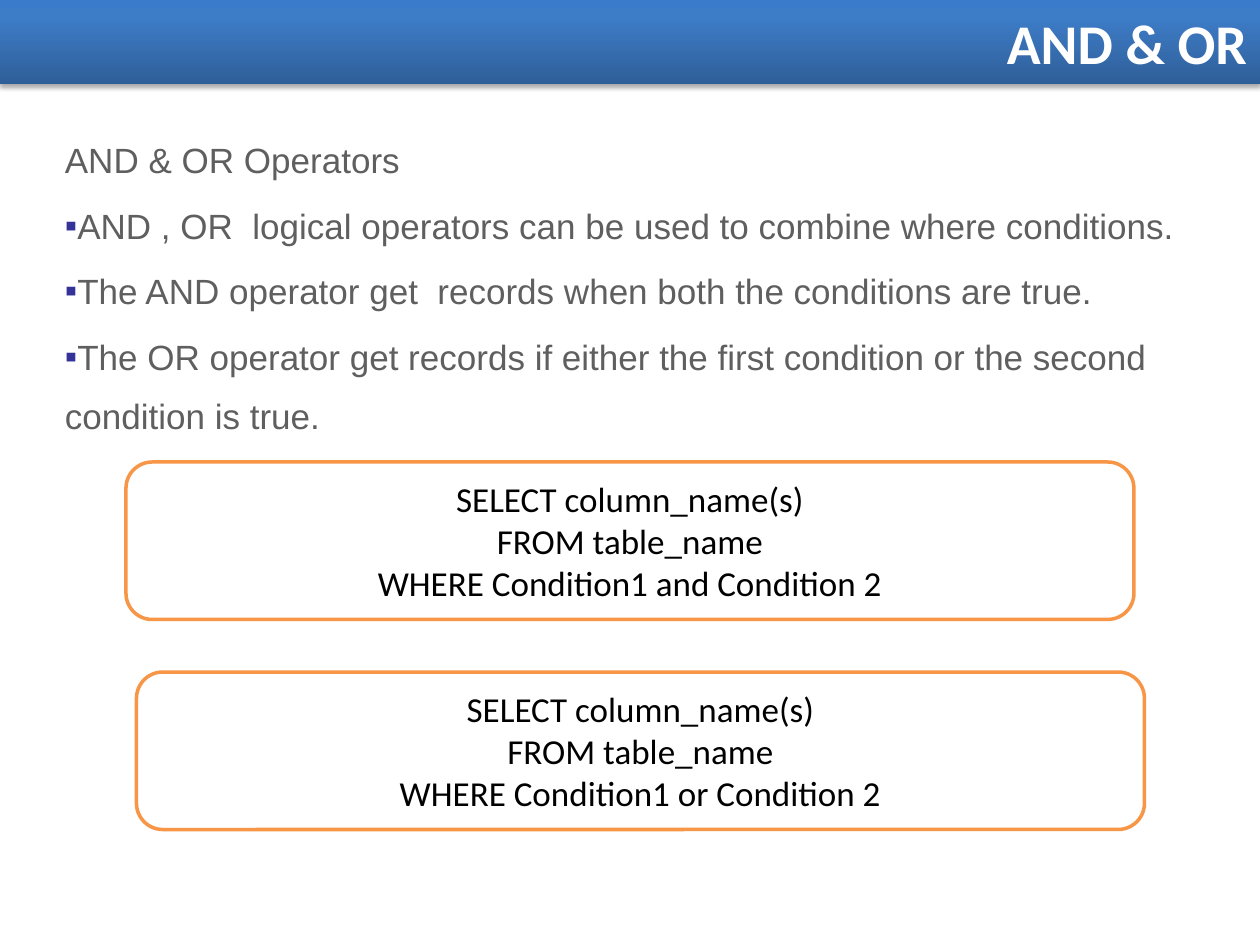
"""Builds a slide on the AND and OR operators."""
import copy

import pptx
import pptx.dml.color
import pptx.enum.shapes
import pptx.enum.text
import pptx.oxml
import pptx.oxml.ns
import pptx.util

RGB = pptx.dml.color.RGBColor
ALIGN = pptx.enum.text.PP_ALIGN
ANCHOR = pptx.enum.text.MSO_ANCHOR
WHITE = RGB(0xFF, 0xFF, 0xFF)
BLACK = RGB(0x00, 0x00, 0x00)
GRAY = RGB(0x5F, 0x5F, 0x5F)
NAVY = RGB(0x33, 0x33, 0x99)
ORANGE = RGB(0xF7, 0x96, 0x46)
BANNER_STOPS = [(0, RGB(0x2F, 0x5F, 0x99)), (0.8, RGB(0x3D, 0x7C, 0xC7)),
                (1, RGB(0x3A, 0x7C, 0xCB))]
COLUMNS, ROWS = 120, 90  # grid cells of 1/12 inch
NAMESPACE = pptx.oxml.ns.nsdecls("a")


def write_text(paragraph, text, font="Calibri", size=20, color=BLACK, bold=False,
               align=ALIGN.LEFT, line_spacing=None, space_before=None):
    """Fill a paragraph with formatted text; \\v makes a line break."""
    paragraph.text = text
    paragraph.alignment = align
    if line_spacing:
        paragraph.line_spacing = line_spacing
    if space_before:
        paragraph.space_before = pptx.util.Pt(space_before)
    for run in paragraph.runs:
        run.font.name = font
        run.font.size = pptx.util.Pt(size)
        run.font.bold = bold
        run.font.color.rgb = color


def add_bullet(paragraph, character, color):
    """Give a paragraph a coloured bullet."""
    properties = paragraph._p.get_or_add_pPr()
    for xml in (f'<a:buClr {NAMESPACE}><a:srgbClr val="{color}"/></a:buClr>',
                f'<a:buFont {NAMESPACE} typeface="Arial"/>',
                f'<a:buChar {NAMESPACE} char="{character}"/>'):
        properties.append(pptx.oxml.parse_xml(xml))


def fill_gradient(shape, stops, angle):
    """Fill a shape with a linear gradient of any number of stops."""
    shape.fill.gradient()
    shape.fill.gradient_angle = angle
    stop_list = shape.fill.gradient_stops[0]._gs.getparent()
    while len(stop_list) < len(stops):
        stop_list.append(copy.deepcopy(stop_list[0]))
    for stop, (position, color) in zip(shape.fill.gradient_stops, stops):
        stop.position = position
        stop.color.rgb = color


def add_shadow(shape, blur, distance, opacity):
    """Cast a black shadow straight down; lengths in points."""
    shape._element.spPr.append(pptx.oxml.parse_xml(
        f'<a:effectLst {NAMESPACE}><a:outerShdw blurRad="{pptx.util.Pt(blur)}" '
        f'dist="{pptx.util.Pt(distance)}" dir="5400000" rotWithShape="0">'
        f'<a:srgbClr val="000000"><a:alpha val="{opacity * 1000}"/></a:srgbClr>'
        '</a:outerShdw></a:effectLst>'))


class SlideBuilder:
    """Holds the style and the current slide."""

    def __init__(self, presentation):
        """Add a title-only slide."""
        self.cell_width = presentation.slide_width / COLUMNS
        self.cell_height = presentation.slide_height / ROWS
        self.slide = presentation.slides.add_slide(presentation.slide_layouts[5])

    def box(self, column, row, columns, rows):
        """Turn grid cells into left, top, width and height."""
        return [round(column * self.cell_width), round(row * self.cell_height),
                round(columns * self.cell_width), round(rows * self.cell_height)]

    def title(self, text, *cells):
        """Turn the title placeholder into a banner."""
        banner = self.slide.shapes.title
        banner.left, banner.top, banner.width, banner.height = self.box(*cells)
        fill_gradient(banner, BANNER_STOPS, 90)
        add_shadow(banner, 3.1, 1.8, 35)
        frame = banner.text_frame
        frame.auto_size = pptx.enum.text.MSO_AUTO_SIZE.NONE
        frame.vertical_anchor = ANCHOR.MIDDLE
        write_text(frame.paragraphs[0], text, size=32, color=WHITE, bold=True,
                   align=ALIGN.RIGHT)

    def body(self, heading, points, *cells):
        """Add a heading with bulleted points below it."""
        frame = self.slide.shapes.add_textbox(*self.box(*cells)).text_frame
        frame.word_wrap = True
        style = dict(font="Arial", color=GRAY, line_spacing=1.4, space_before=4)
        write_text(frame.paragraphs[0], heading, **style)
        for point in points:
            paragraph = frame.add_paragraph()
            write_text(paragraph, point, **style)
            add_bullet(paragraph, "▪", NAVY)

    def query(self, lines, *cells):
        """Add a rounded box with an SQL query."""
        shape = self.slide.shapes.add_shape(
            pptx.enum.shapes.MSO_SHAPE.ROUNDED_RECTANGLE, *self.box(*cells))
        shape.shadow.inherit = False
        shape.fill.solid()
        shape.fill.fore_color.rgb = WHITE
        shape.line.color.rgb = ORANGE
        shape.line.width = pptx.util.Pt(2)
        shape.text_frame.word_wrap = True
        shape.text_frame.vertical_anchor = ANCHOR.MIDDLE
        write_text(shape.text_frame.paragraphs[0], "\v".join(lines),
                   align=ALIGN.CENTER)


def main():
    """Build and save the presentation."""
    presentation = pptx.Presentation()
    presentation.slide_width = pptx.util.Inches(10)
    presentation.slide_height = pptx.util.Inches(7.5)
    builder = SlideBuilder(presentation)
    builder.title("AND & OR", 0, 0, COLUMNS, 8)
    builder.body("AND & OR\u00a0Operators", [
        "AND , OR  logical operators can be used to combine where conditions.",
        "The AND operator get  records when both the conditions are true.",
        "The OR operator get records if either the first condition or the second "
        "condition is true.",
    ], 5, 11, 111, 72)
    for operator, column, row in (("and", 12, 44), ("or", 13, 64)):
        builder.query(["SELECT column_name(s)", "FROM table_name",
                       f"WHERE Condition1 {operator} Condition 2"],
                      column, row, 96, 15)
    presentation.save("out.pptx")


main()
